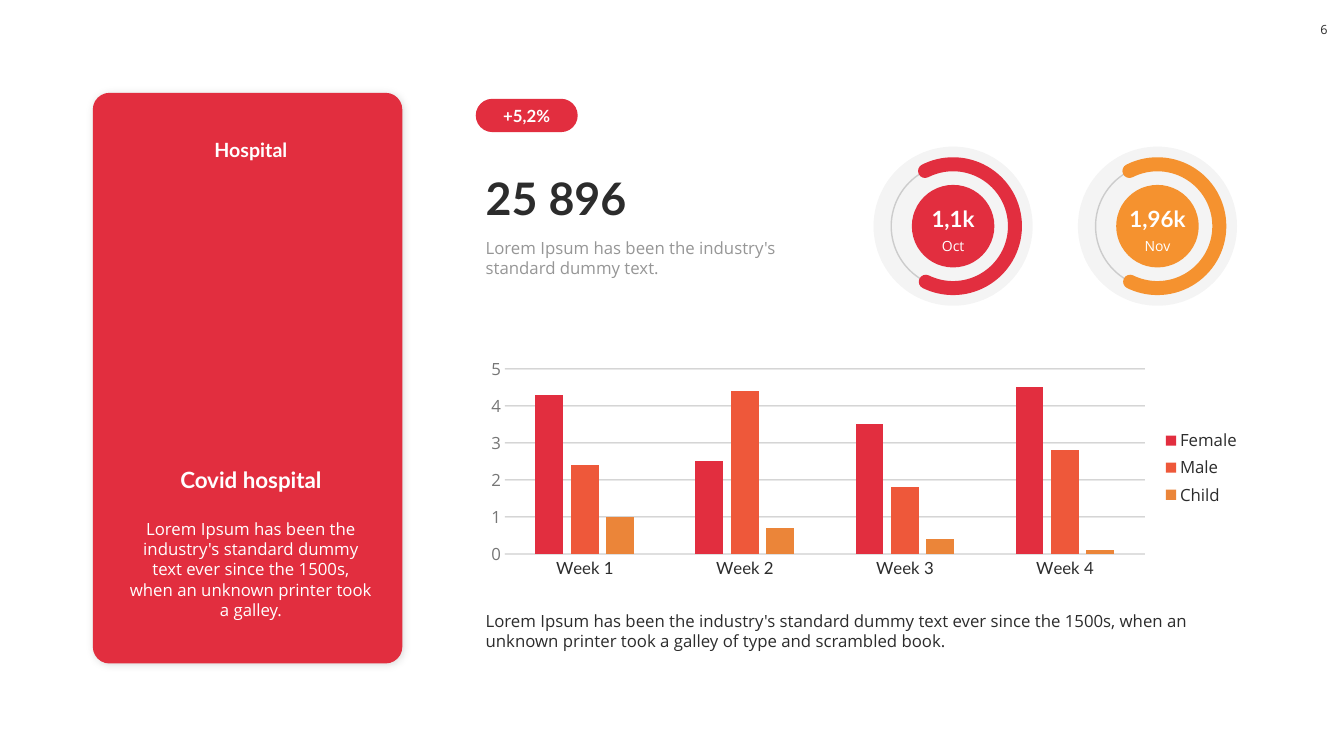
from dataclasses import dataclass

from lxml.etree import SubElement
from pptx import Presentation
from pptx.chart.data import CategoryChartData
from pptx.dml.color import RGBColor
from pptx.enum.chart import XL_CHART_TYPE as ChartType, XL_LEGEND_POSITION as LegendPosition
from pptx.enum.chart import XL_TICK_MARK as TickMark
from pptx.enum.shapes import MSO_SHAPE as Preset
from pptx.enum.text import MSO_ANCHOR as Anchor, MSO_AUTO_SIZE as AutoSize, PP_ALIGN as Align
from pptx.oxml.ns import qn
from pptx.util import Cm, Pt

COLORS = {
    "red": "E22E3F", "orange": "F5922F", "coral": "EE583A", "amber": "EB8539",
    "ink": "2C2C2C", "grey": "969696", "axis_grey": "767676", "axis_line": "DFDFDF",
    "white": "FFFFFF", "black": "000000",
}
HEADING, BODY = "Lato", "Open Sans"
CARD_LEFT, CARD_TEXT_WIDTH = 3.0, 6.65
CONTENT_LEFT = 11.99
RING_TOP_CENTER, RING_FIRST_CENTER, RING_STEP = 5.7, 24.02, 5.15
HALO_SIZE, TRACK_SIZE, DISC_SIZE = 4.01, 3.12, 2.08


@dataclass
class Style:
    size: float
    color: str = "white"
    font: str = BODY
    bold: bool = False
    align: Align = Align.CENTER
    anchor: Anchor = Anchor.TOP


@dataclass
class Label:
    text: str
    left: float
    top: float
    width: float
    height: float
    style: Style


@dataclass
class Ring:
    value: str
    month: str
    color: str


@dataclass
class Series:
    name: str
    values: tuple[float, ...]
    color: str


LABELS = [
    Label("Hospital", CARD_LEFT, 3.33, CARD_TEXT_WIDTH, 0.86,
          Style(14, font=HEADING, bold=True, anchor=Anchor.BOTTOM)),
    Label("Lorem Ipsum has been the industry's standard dummy text ever since the 1500s, "
          "when an unknown printer took a galley.",
          CARD_LEFT, 12.95, CARD_TEXT_WIDTH, 2.31, Style(12)),
    Label("25 896", CONTENT_LEFT, 4.14, 8.53, 1.63,
          Style(32, "ink", HEADING, True, Align.LEFT, Anchor.BOTTOM)),
    Label("Lorem Ipsum has been the industry's standard dummy text.",
          CONTENT_LEFT, 5.87, 8.53, 1.27, Style(12, "grey", align=Align.LEFT)),
    Label("Lorem Ipsum has been the industry's standard dummy text ever since the 1500s, "
          "when an unknown printer took a galley of type and scrambled book.",
          CONTENT_LEFT, 15.27, 19.56, 1.27, Style(12, "ink", align=Align.LEFT)),
    Label("6", 32.87, 0.25, 0.99, 0.99, Style(9, "ink", anchor=Anchor.MIDDLE)),
]
CARD_TITLE = Label("Covid hospital", CARD_LEFT, 11.61, CARD_TEXT_WIDTH, 0.94,
                   Style(16, font=HEADING, bold=True))
RINGS = [Ring("1,1k", "Oct", "red"), Ring("1,96k", "Nov", "orange")]
WEEKS = [f"Week {number}" for number in range(1, 5)]
PATIENTS = [
    Series("Female", (4.3, 2.5, 3.5, 4.5), "red"),
    Series("Male", (2.4, 4.4, 1.8, 2.8), "coral"),
    Series("Child", (1, 0.7, 0.4, 0.1), "amber"),
]


def rgb(name: str) -> RGBColor:
    return RGBColor.from_string(COLORS[name])


def set_opacity(element, percent: int) -> None:
    for color in element.iter(qn("a:srgbClr")):
        SubElement(color, qn("a:alpha"), val=str(percent * 1000))


def style_font(font, size: float, color: str, name: str, bold: bool = False) -> None:
    font.size, font.name, font.bold = Pt(size), name, bold
    font.color.rgb = rgb(color)


def write(shape, text: str, style: Style) -> None:
    frame = shape.text_frame
    frame.text = text
    frame.word_wrap = True
    frame.vertical_anchor = style.anchor
    paragraph = frame.paragraphs[0]
    paragraph.alignment = style.align
    style_font(paragraph.font, style.size, style.color, style.font, style.bold)


def add_label(shapes, label: Label) -> None:
    box = shapes.add_textbox(Cm(label.left), Cm(label.top), Cm(label.width), Cm(label.height))
    write(box, label.text, label.style)


def add_figure(shapes, preset: Preset, left: float, top: float, width: float, height: float,
               fill: str | None = None, line: str | None = None, weight: float = 1):
    """Add a preset shape without shadow; a missing fill or line stays empty."""
    figure = shapes.add_shape(preset, Cm(left), Cm(top), Cm(width), Cm(height))
    figure.shadow.inherit = False
    if fill:
        figure.fill.solid()
        figure.fill.fore_color.rgb = rgb(fill)
    else:
        figure.fill.background()
    if line:
        figure.line.color.rgb = rgb(line)
        figure.line.width = Pt(weight)
    else:
        figure.line.fill.background()
    return figure


def add_card(shapes):
    card = add_figure(shapes, Preset.ROUNDED_RECTANGLE, 2.34, 2.34, 7.8, 14.38, "red")
    card.adjustments[0] = 0.054
    effects = card._element.spPr.find(qn("a:effectLst"))
    shadow = SubElement(effects, qn("a:outerShdw"), blurRad=str(Pt(6)), dist=str(Pt(1)),
                        dir="2700000", algn="tl", rotWithShape="0")
    SubElement(shadow, qn("a:srgbClr"), val=COLORS["black"])
    set_opacity(shadow, 15)
    return card


def add_badge(shapes) -> None:
    badge = add_figure(shapes, Preset.ROUNDED_RECTANGLE, CONTENT_LEFT, 2.49, 2.57, 0.84, "red")
    badge.adjustments[0] = 0.5
    frame = badge.text_frame
    frame.margin_left = frame.margin_right = frame.margin_top = frame.margin_bottom = 0
    write(badge, "+5,2%", Style(12, font=HEADING, bold=True, anchor=Anchor.MIDDLE))


def add_ring(shapes, ring: Ring, center: float) -> None:
    def centered(preset: Preset, size: float, **look):
        return add_figure(shapes, preset, center - size / 2, RING_TOP_CENTER - size / 2,
                          size, size, **look)

    halo = centered(Preset.OVAL, HALO_SIZE, fill="ink")
    set_opacity(halo._element.spPr, 5)
    track = centered(Preset.OVAL, TRACK_SIZE, line="ink")
    set_opacity(track._element.spPr, 20)
    progress = centered(Preset.ARC, TRACK_SIZE, line=ring.color, weight=10)
    progress.adjustments[0], progress.adjustments[1] = 145.85, 69.71
    progress._element.spPr.find(qn("a:ln")).set("cap", "rnd")
    centered(Preset.OVAL, DISC_SIZE, fill=ring.color)
    left = center - DISC_SIZE / 2
    add_label(shapes, Label(ring.value, left, 5.03, DISC_SIZE, 0.94,
                            Style(16, font=HEADING, bold=True, anchor=Anchor.BOTTOM)))
    add_label(shapes, Label(ring.month, left, 5.87, DISC_SIZE, 0.69, Style(10)))


def add_patient_chart(shapes) -> None:
    data = CategoryChartData()
    data.categories = WEEKS
    for group in PATIENTS:
        data.add_series(group.name, group.values)
    chart = shapes.add_chart(ChartType.COLUMN_CLUSTERED, Cm(CONTENT_LEFT), Cm(8.89),
                             Cm(19.53), Cm(5.79), data).chart
    chart.has_title = False
    style_font(chart.font, 10, "ink", BODY)
    chart.has_legend = True
    chart.legend.position = LegendPosition.RIGHT
    chart.legend.include_in_layout = False
    style_font(chart.legend.font, 12, "ink", BODY)

    plot = chart.plots[0]
    plot.vary_by_categories = False
    plot.gap_width, plot.overlap = 219, -27
    for series, group in zip(plot.series, PATIENTS):
        series.format.fill.solid()
        series.format.fill.fore_color.rgb = rgb(group.color)

    weeks, counts = chart.category_axis, chart.value_axis
    weeks.major_tick_mark = counts.major_tick_mark = TickMark.NONE
    style_font(weeks.tick_labels.font, 12, "ink", HEADING)
    style_font(counts.tick_labels.font, 12, "axis_grey", BODY)
    weeks.format.line.color.rgb = rgb("axis_line")
    weeks.format.line.width = Pt(0.75)
    counts.format.line.fill.background()
    counts.minimum_scale, counts.maximum_scale, counts.major_unit = 0, 5, 1
    grid = counts.major_gridlines.format.line
    grid.color.rgb = rgb("ink")
    grid.width = Pt(0.75)
    set_opacity(counts._element.find(qn("c:majorGridlines")), 30)


def main() -> None:
    deck = Presentation()
    deck.slide_width, deck.slide_height = Cm(33.87), Cm(19.05)
    slide = deck.slides.add_slide(deck.slide_layouts[5])
    shapes = slide.shapes
    title = shapes.title
    title.left, title.top = Cm(CARD_TITLE.left), Cm(CARD_TITLE.top)
    title.width, title.height = Cm(CARD_TITLE.width), Cm(CARD_TITLE.height)
    write(title, CARD_TITLE.text, CARD_TITLE.style)
    title.text_frame.auto_size = AutoSize.NONE
    card = add_card(shapes)
    title._element.addprevious(card._element)  # the card lies behind its title

    add_badge(shapes)
    for label in LABELS:
        add_label(shapes, label)
    for index, ring in enumerate(RINGS):
        add_ring(shapes, ring, RING_FIRST_CENTER + index * RING_STEP)
    add_patient_chart(shapes)
    deck.save("out.pptx")


if __name__ == "__main__":
    main()
